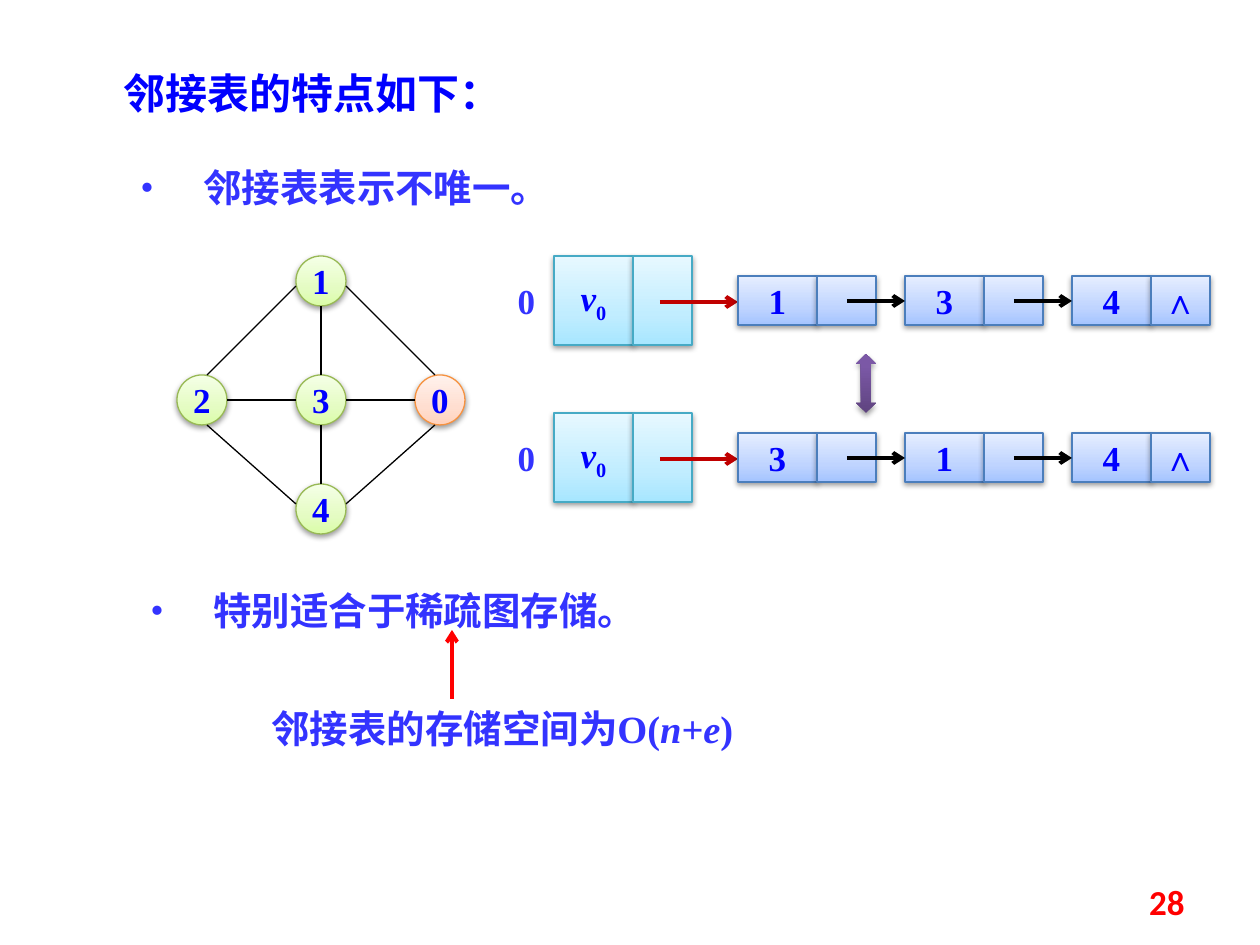
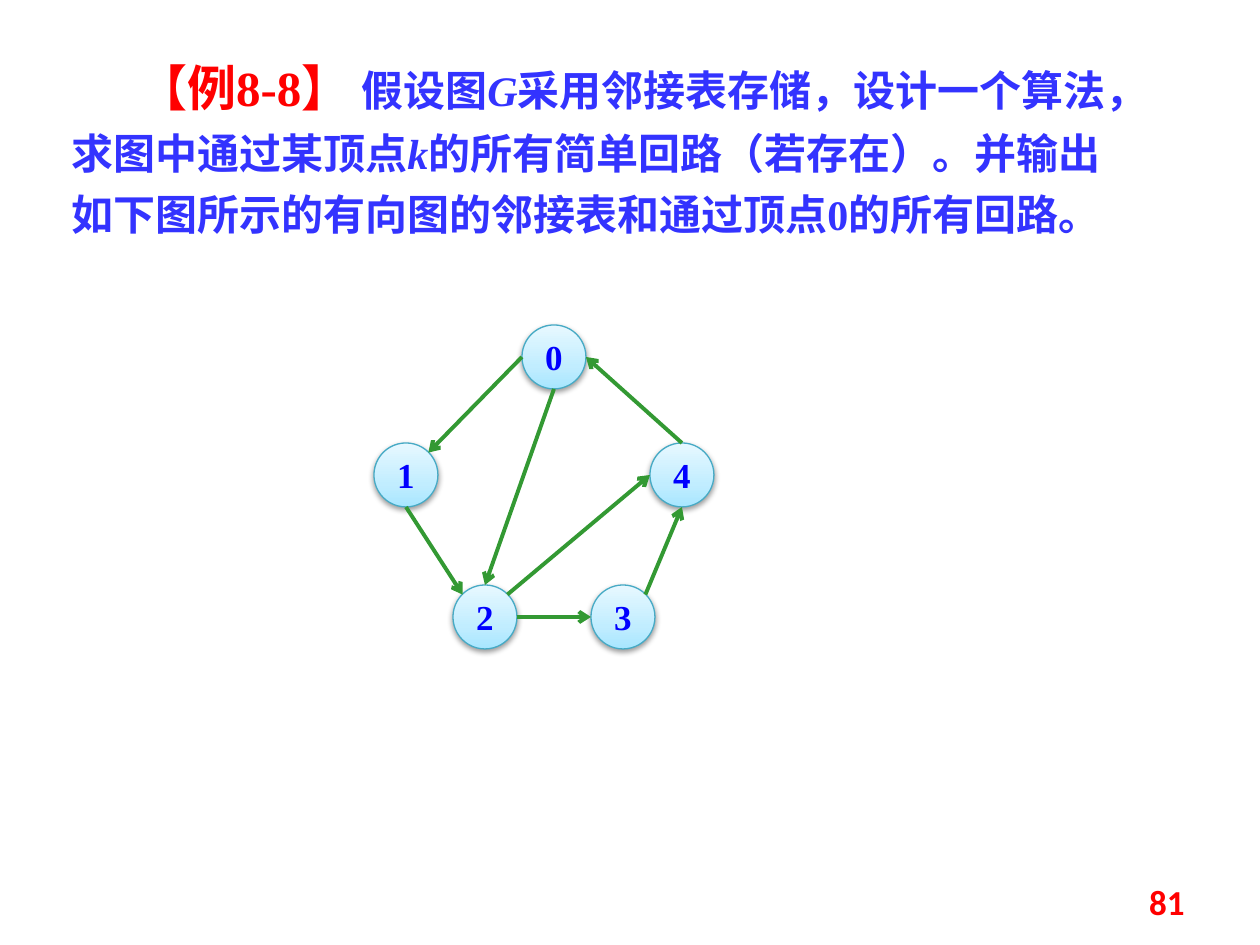
import lxml.etree
import pptx
import pptx.dml.color
import pptx.enum.shapes
import pptx.enum.text
import pptx.oxml.ns
import pptx.util

PX = 914400 // 126
SHAPES = pptx.enum.shapes.MSO_SHAPE
ALIGN = pptx.enum.text.PP_ALIGN
ANCHOR = pptx.enum.text.MSO_ANCHOR
qn = pptx.oxml.ns.qn

COLORS = {
    "heading": "0000FF", "body": "3333FF", "accent": "FF0000",
    "edge": "000000", "pointer": "C00000", "arc": "339933",
}
# Gradient stops run from the bottom of a shape to its top.
STYLES = {
    "green": {"stops": [(0, "DAFDA7"), (35, "E4FCC2"), (100, "F5FFE7")], "line": "98B955"},
    "orange": {"stops": [(0, "FFD2BD"), (35, "FFDED0"), (100, "FFF2ED")], "line": "F69240"},
    "blue": {"stops": [(0, "A4C4FF"), (35, "BFD4FF"), (100, "E6EEFF")], "line": "4B7EBC"},
    "cyan": {"stops": [(0, "A7E6FF"), (35, "C1EDFF"), (100, "E7F8FF")], "line": "46AAC5"},
    "purple": {"stops": [(0, "5F4480"), (80, "7B58A6"), (100, "7C57A8")], "line": None},
}
CJK = "Noto Sans CJK SC"
SERIF = "Times New Roman"
TITLE = {"size": 24, "name": CJK, "color": "heading"}
BULLET = {"size": 22, "name": CJK, "color": "body"}
NOTE = {"size": 22, "name": SERIF, "color": "body"}
PROBLEM = {"size": 24, "name": SERIF, "color": "body"}
LABEL = {"size": 20, "name": SERIF, "color": "heading"}
INDEX = {"size": 20, "name": SERIF, "color": "body"}
PAGE = {"size": 20, "name": "Calibri", "color": "accent"}
ITALIC = {"italic": True}


def px(*lengths):
    return [round(length * PX) for length in lengths]


def rgb(value):
    return pptx.dml.color.RGBColor.from_string(value)


def add_runs(paragraph, runs, style):
    """Each run is (text, changes to the style)."""
    for text, changes in runs:
        values = {"bold": True, **style, **changes}
        run = paragraph.add_run()
        run.text = text
        run.font.color.rgb = rgb(COLORS[values.pop("color")])
        values["size"] = pptx.util.Pt(values["size"])
        baseline = values.pop("baseline", None)
        for name, value in values.items():
            setattr(run.font, name, value)
        properties = run.font._element
        lxml.etree.SubElement(properties, qn("a:ea"), typeface=CJK)
        if baseline:
            properties.set("baseline", str(baseline))


def add_text(slide, box, runs, style, align=ALIGN.LEFT, anchor=ANCHOR.TOP, inset=True):
    frame = slide.shapes.add_textbox(*px(*box)).text_frame
    frame.word_wrap = True
    frame.vertical_anchor = anchor
    if not inset:
        for side in ("left", "top", "right", "bottom"):
            setattr(frame, f"margin_{side}", 0)
    paragraph = frame.paragraphs[0]
    paragraph.alignment = align
    add_runs(paragraph, runs, style)
    return paragraph


def add_bullet(slide, box, text):
    paragraph = add_text(slide, box, [(text, {})], BULLET)
    properties = paragraph._p.get_or_add_pPr()
    indent = px(63)[0]
    properties.set("marL", str(indent))
    properties.set("indent", str(-indent))
    lxml.etree.SubElement(properties, qn("a:buFont"), typeface=SERIF)
    lxml.etree.SubElement(properties, qn("a:buChar"), char="•")


def add_glossy(slide, kind, box, style_name, runs=()):
    """A preset shape with a vertical gradient and a soft shadow."""
    style = STYLES[style_name]
    shape = slide.shapes.add_shape(kind, *px(*box))
    shape.fill.gradient()
    shape.fill.gradient_angle = 90
    properties = shape._element.spPr
    stop_list = properties.find(".//" + qn("a:gsLst"))
    for stop in list(stop_list):
        stop_list.remove(stop)
    for position, color in style["stops"]:
        stop = lxml.etree.SubElement(stop_list, qn("a:gs"), pos=str(position * 1000))
        lxml.etree.SubElement(stop, qn("a:srgbClr"), val=color)
    if style["line"]:
        shape.line.color.rgb = rgb(style["line"])
        shape.line.width = pptx.util.Pt(0.75)
    else:
        shape.line.fill.background()

    shape.shadow.inherit = False
    shadow = lxml.etree.SubElement(
        properties.find(qn("a:effectLst")), qn("a:outerShdw"),
        blurRad="40000", dist="20000", dir="5400000", rotWithShape="0")
    color = lxml.etree.SubElement(shadow, qn("a:srgbClr"), val="000000")
    lxml.etree.SubElement(color, qn("a:alpha"), val="38000")

    if runs:
        frame = shape.text_frame
        frame.word_wrap = False
        frame.vertical_anchor = ANCHOR.MIDDLE
        frame.paragraphs[0].alignment = ALIGN.CENTER
        add_runs(frame.paragraphs[0], runs, LABEL)


def add_line(slide, start, end, color, width=2.25, arrow=True):
    connector = slide.shapes.add_connector(
        pptx.enum.shapes.MSO_CONNECTOR.STRAIGHT, *px(*start, *end))
    connector.line.color.rgb = rgb(COLORS[color])
    connector.line.width = pptx.util.Pt(width)
    properties = connector._element.spPr
    if arrow:
        lxml.etree.SubElement(properties.find(qn("a:ln")), qn("a:tailEnd"), type="arrow")
    lxml.etree.SubElement(properties, qn("a:effectLst"))


def draw_graph(slide, left, top, size, nodes, edges, line):
    """Nodes map a label to (x, y, style); edges join points given as
    fractions of the node boxes."""
    for label, (x, y, style) in nodes.items():
        add_glossy(slide, SHAPES.OVAL, (left + x, top + y, size, size), style, [(label, {})])

    def point(label, fraction):
        x, y, _ = nodes[label]
        return left + x + fraction[0] * size, top + y + fraction[1] * size

    for source, leave, target, arrive in edges:
        add_line(slide, point(source, leave), point(target, arrive), **line)


def draw_adjacency_row(slide, left, top, neighbours):
    """Index, head cell and chain of neighbour cells."""
    data, link, pitch, chain = 79, 59, 167, left + 236
    add_text(slide, (left, top + 23, 49, 43), [("0", {})], INDEX, ALIGN.CENTER, inset=False)

    def add_cells(x, y, height, style, runs, link_runs=()):
        add_glossy(slide, SHAPES.RECTANGLE, (x, y, data, height), style, runs)
        add_glossy(slide, SHAPES.RECTANGLE, (x + data, y, link, height), style, link_runs)

    add_cells(left + 52, top, 89, "cyan",
              [("v", ITALIC), ("0", {"baseline": -25000})])
    add_line(slide, (left + 158, top + 46), (chain, top + 46), "pointer")

    last = len(neighbours) - 1
    for position, neighbour in enumerate(neighbours):
        x = chain + position * pitch
        add_cells(x, top + 20, 49, "blue", [(neighbour, {})],
                  [("∧", {})] if position == last else ())
    for position in range(last):
        x = chain + position * pitch
        add_line(slide, (x + data + link // 2 + 1, top + 45), (x + pitch, top + 45), "edge")


def draw_storage_note(slide, left, top):
    add_line(slide, (left + 235, top + 69), (left + 235, top), "accent")
    runs = [("邻接表的存储空间为O(", {}), ("n+e", ITALIC), (")", {})]
    add_text(slide, (left, top + 69, 571, 59), runs, NOTE, ALIGN.CENTER)


def add_slide(presentation, page):
    slide = presentation.slides.add_slide(presentation.slide_layouts[6])
    add_text(slide, (903, 876, 294, 51), [(page, {})], PAGE, ALIGN.RIGHT, ANCHOR.MIDDLE)
    return slide


def build_features_slide(presentation):
    slide = add_slide(presentation, "28")
    add_text(slide, (111, 61, 597, 63), [("邻接表的特点如下：", {})], TITLE)
    add_bullet(slide, (128, 158, 640, 59), "邻接表表示不唯一。")
    add_bullet(slide, (138, 581, 640, 59), "特别适合于稀疏图存储。")

    # Undirected graph
    nodes = {
        "1": (119, 0, "green"), "3": (119, 119, "green"), "2": (0, 119, "green"),
        "0": (238, 119, "orange"), "4": (119, 228, "green"),
    }
    edges = [
        ("1", (0, 0.6), "2", (0.6, 0)), ("1", (1, 0.6), "0", (0.4, 0)),
        ("2", (1, 0.5), "3", (0, 0.5)), ("3", (1, 0.5), "0", (0, 0.5)),
        ("1", (0.5, 1), "3", (0.5, 0)), ("3", (0.5, 1), "4", (0.5, 0)),
        ("2", (0.6, 1), "4", (0, 0.4)), ("0", (0.4, 1), "4", (1, 0.4)),
    ]
    draw_graph(slide, 177, 256, 50, nodes, edges,
               {"color": "edge", "width": 0.75, "arrow": False})

    # Two equivalent adjacency lists
    for row, neighbours in enumerate(("134", "314")):
        draw_adjacency_row(slide, 502, 256 + row * 157, neighbours)
    add_glossy(slide, SHAPES.UP_DOWN_ARROW, (856, 354, 20, 59), "purple")

    draw_storage_note(slide, 217, 630)


def build_example_slide(presentation):
    slide = add_slide(presentation, "81")

    # Problem statement
    runs = [
        ("【例8-8】 ", {"size": 28, "color": "accent"}),
        ("假设图", {}), ("G", ITALIC),
        ("采用邻接表存储，设计一个算法，求图中通过某顶点", {}), ("k", ITALIC),
        ("的所有简单回路（若存在）。并输出如下图所示的有向图的邻接表和通过顶点0的所有回路。", {}),
    ]
    paragraph = add_text(slide, (59, 49, 1088, 198), runs, PROBLEM)
    paragraph.line_spacing = pptx.util.Pt(35)
    paragraph._p.get_or_add_pPr().set("indent", str(px(67)[0]))

    # Directed graph
    nodes = {
        "0": (148, 0, "cyan"), "3": (217, 260, "cyan"), "2": (79, 260, "cyan"),
        "4": (276, 118, "cyan"), "1": (0, 118, "cyan"),
    }
    north, south, west, east = (0.5, 0), (0.5, 1), (0, 0.5), (1, 0.5)
    northwest, northeast = (0.15, 0.15), (0.85, 0.15)
    edges = [
        ("0", west, "1", northeast), ("1", south, "2", northwest),
        ("2", east, "3", west), ("3", northeast, "4", south),
        ("4", north, "0", east), ("0", south, "2", north),
        ("2", northeast, "4", west),
    ]
    draw_graph(slide, 374, 325, 64, nodes, edges, {"color": "arc"})


def main():
    presentation = pptx.Presentation()
    presentation.slide_width, presentation.slide_height = px(1260, 945)
    build_features_slide(presentation)
    build_example_slide(presentation)
    presentation.save("out.pptx")


if __name__ == "__main__":
    main()
